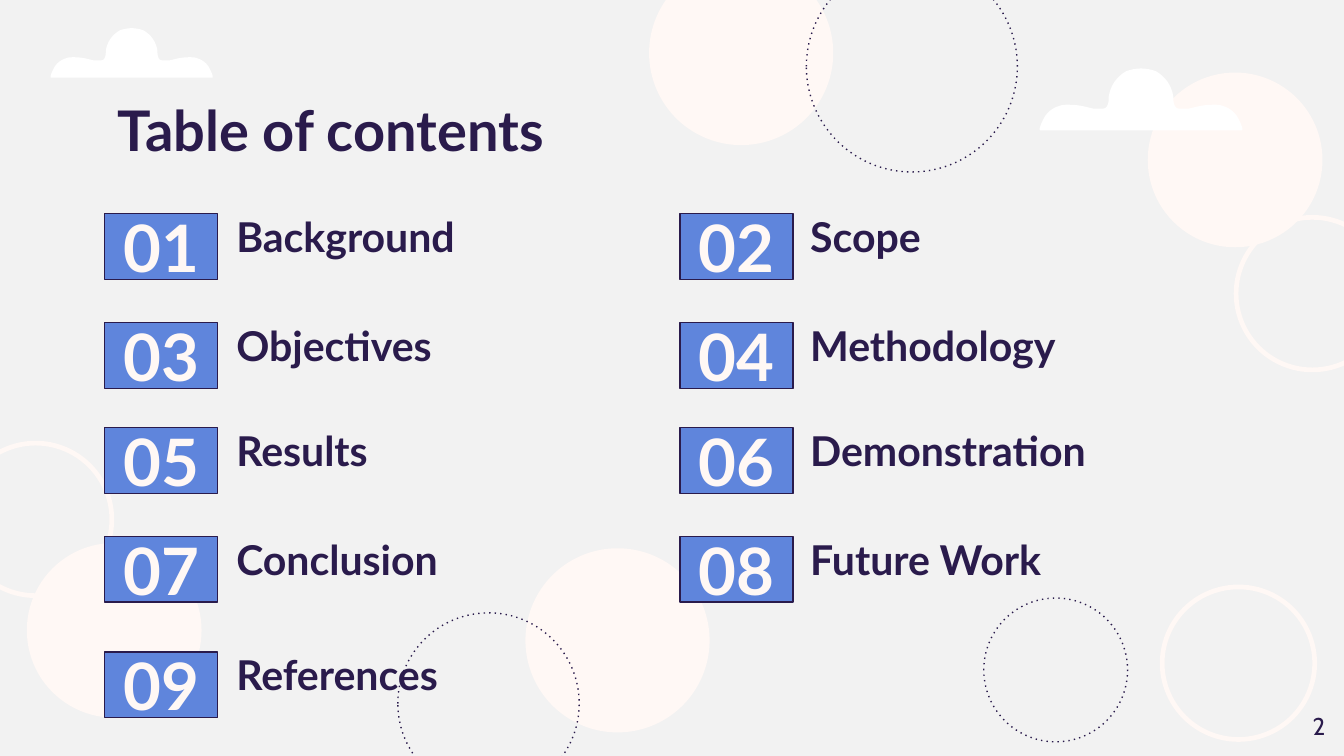
from lxml import etree
from pptx import Presentation
from pptx import util as u
from pptx.dml.color import RGBColor
from pptx.enum import shapes, text
from pptx.oxml import ns

PAPER = RGBColor(0xF2, 0xF2, 0xF2)
CREAM = RGBColor(0xFF, 0xF8, 0xF5)
NAVY = RGBColor(0x2A, 0x1B, 0x4C)
BLUE = RGBColor(0x5F, 0x85, 0xDC)
WHITE = RGBColor(0xFF, 0xFF, 0xFF)

SLIDE_WIDTH = u.Inches(10)
SLIDE_HEIGHT = SLIDE_WIDTH * 9 // 16

TOPICS = ["Background", "Scope", "Objectives", "Methodology", "Results",
          "Demonstration", "Conclusion", "Future Work", "References"]
COLUMNS = [(0.78, 1.66), (5.06, 5.93)]  # left of badge and of label
ROWS = [1.59, 2.4, 3.18, 3.99, 4.85]

# Decorations: left, top, diameter
DISCS = [(4.83, -0.29, 1.37), (0.2, 4.04, 1.3), (3.91, 4.08, 1.37), (8.54, 0.54, 1.3)]
RINGS = [(-0.32, 3.28, 1.17), (8.63, 4.35, 1.17), (9.18, 1.6, 1.17)]
DOTTED = [(6, -0.29, 1.57), (2.96, 4.56, 1.35), (7.32, 4.45, 1.07)]

# Right half of a cloud, from its top: two controls and an end per curve
CLOUD_CURVES = [
    ((0.04, 0), (0.08, 0.01), (0.11, 0.02)),
    ((0.18, 0.06), (0.23, 0.13), (0.24, 0.21)),
    ((0.24, 0.23), (0.24, 0.27), (0.26, 0.29)),
    ((0.27, 0.3), (0.29, 0.3), (0.31, 0.3)),
    ((0.32, 0.3), (0.34, 0.3), (0.35, 0.3)),
    ((0.4, 0.29), (0.45, 0.27), (0.54, 0.27)),
    ((0.56, 0.27), (0.59, 0.27), (0.61, 0.28)),
    ((0.65, 0.29), (0.69, 0.32), (0.71, 0.35)),
    ((0.72, 0.36), (0.77, 0.46), (0.75, 0.46)),
]
CURVE_STEPS = 8


def box(left, top, width, height):
    return [u.Inches(length) for length in (left, top, width, height)]


def paint(shape, fill=None):
    shape.shadow.inherit = False
    if fill is None:
        shape.fill.background()
    else:
        shape.fill.solid()
        shape.fill.fore_color.rgb = fill
    shape.line.fill.background()


def outline(shape, dash=None):
    shape.line.color.rgb = NAVY
    shape.line.width = u.Pt(0.75)
    if dash is not None:
        line = shape.line.fill._xPr
        etree.SubElement(line, ns.qn("a:prstDash")).set("val", dash)


def write(shape, wording, size, color=NAVY, font="Lato", bold=True,
          anchor=text.MSO_ANCHOR.TOP, align=text.PP_ALIGN.LEFT, spacing=1.0):
    frame = shape.text_frame
    inset = u.Inches(0.1)
    frame_format = {"word_wrap": True, "vertical_anchor": anchor,
                    "margin_left": inset, "margin_right": inset,
                    "margin_top": inset, "margin_bottom": inset}
    for name, value in frame_format.items():
        setattr(frame, name, value)
    paragraph = frame.paragraphs[0]
    paragraph.alignment = align
    paragraph.line_spacing = spacing
    run = paragraph.add_run()
    run.text = wording
    font_format = {"name": font, "size": u.Pt(size), "bold": bold}
    for name, value in font_format.items():
        setattr(run.font, name, value)
    run.font.color.rgb = color


def add_circle(slide, left, top, diameter, fill=None, kind=shapes.MSO_SHAPE.OVAL):
    circle = slide.shapes.add_shape(kind, *box(left, top, diameter, diameter))
    paint(circle, fill)
    return circle


def cloud_half():
    start = (0, 0)
    points = [start]
    for first, second, end in CLOUD_CURVES:
        for step in range(1, CURVE_STEPS + 1):
            t = step / CURVE_STEPS
            s = 1 - t
            points.append(tuple(
                s**3 * a + 3 * s * s * t * b + 3 * s * t * t * c + t**3 * d
                for a, b, c, d in zip(start, first, second, end)))
        start = end
    return points


def add_cloud(slide, center, top, scale):
    right = cloud_half()
    left = [(-x, y) for x, y in reversed(right[1:])]
    points = [(u.Inches(center + scale * x), u.Inches(top + scale * y))
              for x, y in right + left]
    builder = slide.shapes.build_freeform(*points[0])
    builder.add_line_segments(points[1:], close=True)
    paint(builder.convert_to_shape(), WHITE)


def add_label(slide, place, wording, size, **style):
    write(slide.shapes.add_textbox(*box(*place)), wording, size, **style)


def add_topic(slide, badge_left, label_left, top, number, topic):
    badge = slide.shapes.add_shape(shapes.MSO_SHAPE.RECTANGLE,
                                   *box(badge_left, top, 0.84, 0.49))
    paint(badge, BLUE)
    outline(badge)
    write(badge, f"{number:02d}", 35, color=CREAM,
          anchor=text.MSO_ANCHOR.MIDDLE, align=text.PP_ALIGN.CENTER)
    add_label(slide, (label_left, top + 0.04, 3.29, 0.41), topic, 22,
              anchor=text.MSO_ANCHOR.BOTTOM, spacing=1.15)


def main():
    deck = Presentation()
    deck.slide_width, deck.slide_height = SLIDE_WIDTH, SLIDE_HEIGHT
    slide = deck.slides.add_slide(deck.slide_layouts[6])
    slide.background.fill.solid()
    slide.background.fill.fore_color.rgb = PAPER

    # Background circles and clouds
    for disc in DISCS:
        add_circle(slide, *disc, fill=CREAM)
    for ring in RINGS:
        band = add_circle(slide, *ring, fill=CREAM, kind=shapes.MSO_SHAPE.DONUT)
        band.adjustments[0] = 0.03
    for circle in DOTTED:
        outline(add_circle(slide, *circle), "dot")
    add_cloud(slide, 8.49, 0.51, 1)
    add_cloud(slide, 0.98, 0.21, 0.8)

    # Title
    add_label(slide, (0.78, 0.61, 8.44, 0.6), "Table of contents", 30)

    # Numbered topics, two to a row
    for index, topic in enumerate(TOPICS):
        row, column = divmod(index, len(COLUMNS))
        add_topic(slide, *COLUMNS[column], ROWS[row], index + 1, topic)

    # Page number
    add_label(slide, (9.36, 5.19, 0.6, 0.43), "2", 13, font="Cabin", bold=False,
              align=text.PP_ALIGN.RIGHT)

    deck.save("out.pptx")


if __name__ == "__main__":
    main()
